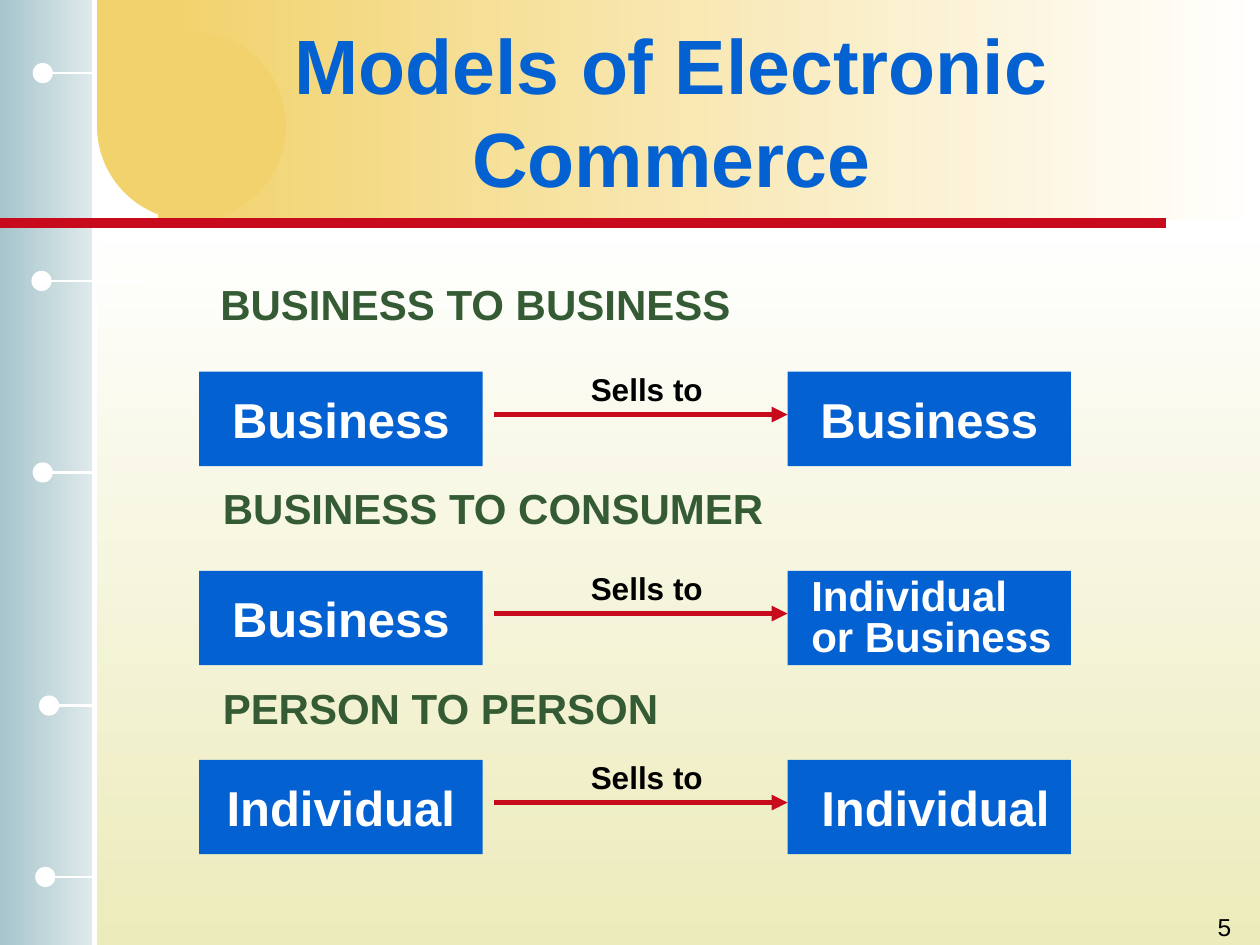
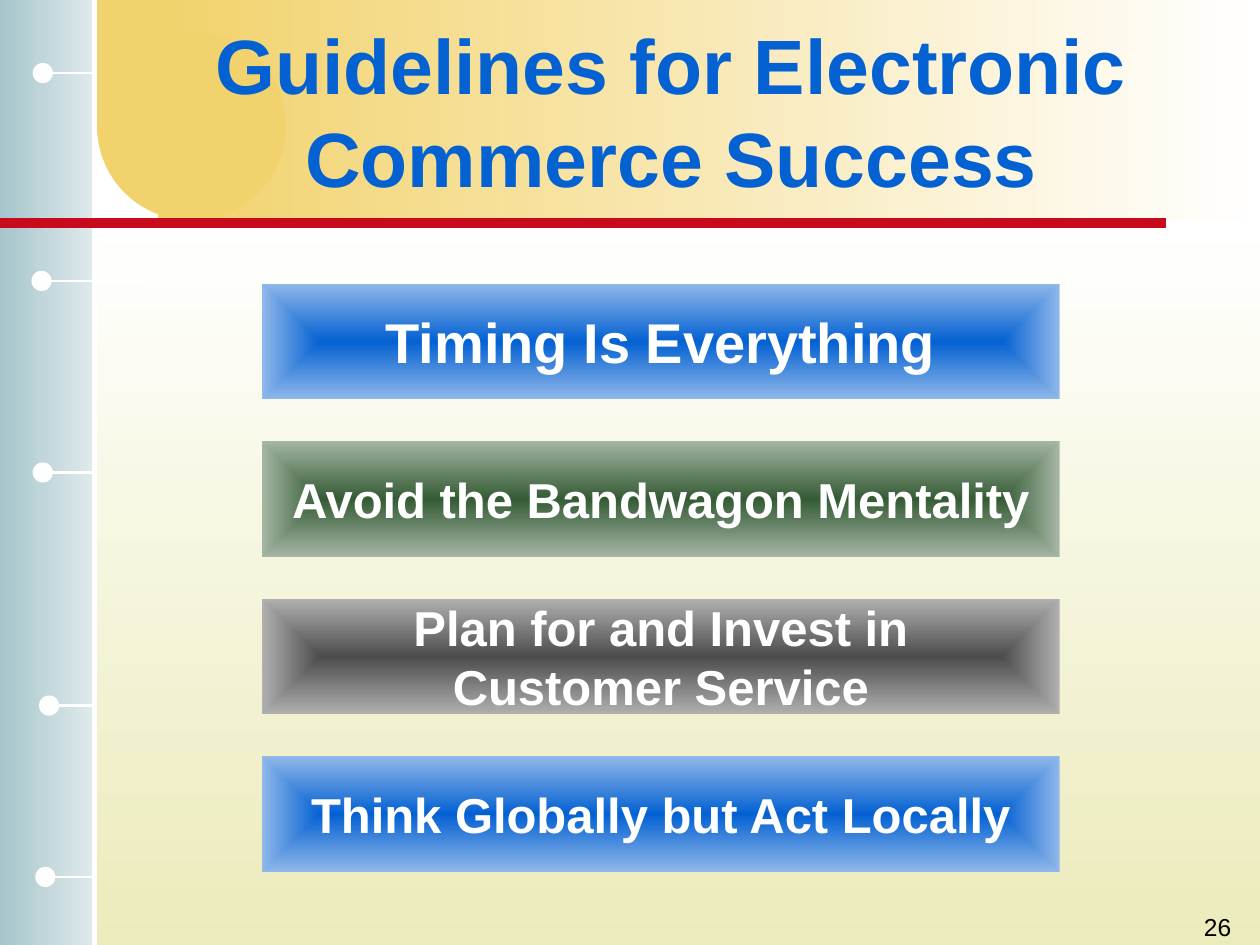
from dataclasses import dataclass

from lxml import etree
from pptx import Presentation
from pptx.dml.color import RGBColor
from pptx.enum.shapes import MSO_CONNECTOR, MSO_SHAPE
from pptx.enum.text import MSO_ANCHOR, PP_ALIGN
from pptx.oxml.ns import qn
from pptx.util import Inches, Pt

RECT, OVAL = MSO_SHAPE.RECTANGLE, MSO_SHAPE.OVAL
STRAIGHT = MSO_CONNECTOR.STRAIGHT
TOP, MIDDLE = MSO_ANCHOR.TOP, MSO_ANCHOR.MIDDLE
LEFT, CENTER, RIGHT = PP_ALIGN.LEFT, PP_ALIGN.CENTER, PP_ALIGN.RIGHT


@dataclass(frozen=True)
class Theme:
    font: str = "Arial"
    white: str = "FFFFFF"
    black: str = "000000"
    blue: str = "0461D2"
    pale_blue: str = "90B8EA"
    green: str = "355B35"
    pale_green: str = "A5B6A5"
    gray: str = "4D4D4D"
    pale_gray: str = "B0B0B0"
    red: str = "C70B1D"
    gold: str = "F2D26C"
    cream: str = "ECEBBB"
    teal: str = "A6C5CC"
    pale_teal: str = "E0EAEC"
    title_size: int = 44
    lead_size: int = 32
    box_size: int = 28
    heading_size: int = 24
    label_size: int = 18
    number_size: int = 14


THEME = Theme()

# Content
MODELS = {
    "title": "Models of Electronic Commerce",
    "number": "5",
    "link": "Sells to",
}
# heading, heading left, top and width, row top, seller, buyer lines
MODEL_ROWS = [
    ("BUSINESS TO BUSINESS", 1.65, 2.16, 4.25, 2.95, "Business", ["Business"]),
    ("BUSINESS TO CONSUMER", 1.67, 3.78, 4.49, 4.53, "Business",
     ["Individual", "or Business"]),
    ("PERSON TO PERSON", 1.67, 5.37, 3.66, 6.03, "Individual", ["Individual"]),
]
# Buyer texts that sit off the centre of their box: left, drop, width, height, style
BUYER_OFFSETS = {
    "BUSINESS TO CONSUMER": (6.34, 0.02, 2.11, 0.75, "buyer_pair"),
    "PERSON TO PERSON": (6.42, 0.09, 2.01, 0.56, "buyer"),
}
GUIDELINES = {
    "title": "Guidelines for Electronic Commerce Success",
    "number": "26",
}
GUIDELINE_BARS = [
    (["Timing Is Everything"], "lead", THEME.blue, THEME.pale_blue),
    (["Avoid the Bandwagon Mentality"], "box", THEME.green, THEME.pale_green),
    (["Plan for and Invest in", "Customer Service"], "box", THEME.gray, THEME.pale_gray),
    (["Think Globally but Act Locally"], "box", THEME.blue, THEME.pale_blue),
]

# Binder rings: dot left, centre height, right end of the ring
RINGS = [(0.26, 0.58, 0.75), (0.25, 2.23, 1.17), (0.26, 3.75, 0.75),
         (0.31, 5.6, 0.75), (0.28, 6.96, 0.75)]
DOT = 0.16

# Layout of the content
SELLER_LEFT, BUYER_LEFT, BOX_WIDTH, BOX_HEIGHT = 1.58, 6.25, 2.25, 0.75
ARROW_START, ARROW_DROP = 3.92, 0.34
BAR_LEFT, BAR_TOP, BAR_WIDTH, BAR_HEIGHT, BAR_STEP = 2.08, 2.25, 6.33, 0.92, 1.25


def text_style(size, color, align=LEFT, anchor=TOP, wrap=False, bold=True, spacing=None):
    return {
        "frame": {"word_wrap": wrap, "vertical_anchor": anchor},
        "paragraph": {"alignment": align, "line_spacing": spacing},
        "font": {"name": THEME.font, "size": Pt(size), "bold": bold},
        "color": color,
    }


STYLES = {
    "title": text_style(THEME.title_size, THEME.blue, CENTER, MIDDLE, wrap=True),
    "lead": text_style(THEME.lead_size, THEME.white, CENTER, MIDDLE),
    "box": text_style(THEME.box_size, THEME.white, CENTER, MIDDLE),
    "buyer": text_style(THEME.box_size, THEME.white),
    "buyer_pair": text_style(THEME.heading_size, THEME.white, spacing=0.8),
    "heading": text_style(THEME.heading_size, THEME.green),
    "label": text_style(THEME.label_size, THEME.black),
    "number": text_style(THEME.number_size, THEME.black, RIGHT, wrap=True, bold=False),
}


def set_all(target, values):
    for name, value in values.items():
        setattr(target, name, value)


def write(shape, lines, style_name):
    style = STYLES[style_name]
    frame = shape.text_frame
    set_all(frame, style["frame"])
    for index, line in enumerate(lines):
        paragraph = frame.add_paragraph() if index else frame.paragraphs[0]
        set_all(paragraph, style["paragraph"])
        run = paragraph.add_run()
        run.text = line
        set_all(run.font, style["font"])
        run.font.color.rgb = RGBColor.from_string(style["color"])


def add_text(slide, box, lines, style_name):
    write(slide.shapes.add_textbox(*map(Inches, box)), lines, style_name)


def add_block(slide, kind, box, color):
    block = slide.shapes.add_shape(kind, *map(Inches, box))
    block.shadow.inherit = False
    block.line.fill.background()
    block.fill.solid()
    block.fill.fore_color.rgb = RGBColor.from_string(color)
    return block


def add_gradient(slide, box, first, last, angle=None):
    """Add a rectangle with a linear gradient, or one from its centre if no angle is given."""
    block = add_block(slide, RECT, box, first)
    block.fill.gradient()
    for stop, color in zip(block.fill.gradient_stops, (first, last)):
        stop.color.rgb = RGBColor.from_string(color)
    if angle is not None:
        block.fill.gradient_angle = angle
        return block
    linear = next(block.element.iter(qn("a:lin")))
    gradient = linear.getparent()
    gradient.remove(linear)
    from_centre = etree.SubElement(gradient, qn("a:path"), {"path": "rect"})
    etree.SubElement(from_centre, qn("a:fillToRect"),
                     dict.fromkeys("ltrb", "50000"))
    return block


def add_line(slide, start, end, color, width, arrow=False):
    line = slide.shapes.add_connector(STRAIGHT, *map(Inches, (*start, *end)))
    line.line.color.rgb = RGBColor.from_string(color)
    line.line.width = Pt(width)
    if arrow:
        etree.SubElement(line.line._get_or_add_ln(), qn("a:tailEnd"), {"type": "triangle"})
    etree.SubElement(line.element.spPr, qn("a:effectLst"))


def add_framed_slide(deck, content):
    """Add a slide with the binder strip, gold band, title and number."""
    slide = deck.slides.add_slide(deck.slide_layouts[6])
    add_gradient(slide, (0.73, 1.77, 9.27, 5.73), THEME.white, THEME.cream, 270)
    add_gradient(slide, (0, 0, 0.75, 7.5), THEME.pale_teal, THEME.teal, 180)
    add_gradient(slide, (1.25, 0, 8.75, 1.75), THEME.white, THEME.gold, 180)
    add_block(slide, OVAL, (0.77, 0.25, 1.5, 1.5), THEME.gold)
    add_block(slide, RECT, (0.77, 0, 0.67, 0.96), THEME.gold)
    add_line(slide, (0.75, 0), (0.75, 7.5), THEME.white, 3)
    for left, middle, right in RINGS:
        add_line(slide, (right, middle), (left + DOT / 2, middle), THEME.white, 1.5)
        add_block(slide, OVAL, (left, middle - DOT / 2, DOT, DOT), THEME.white)
    add_line(slide, (0, 1.77), (9.25, 1.77), THEME.red, 6)
    add_text(slide, (1.08, 0.25, 8.5, 1.25), [content["title"]], "title")
    add_text(slide, (7.79, 7.19, 2.08, 0.5), [content["number"]], "number")
    return slide


def add_models_slide(deck):
    slide = add_framed_slide(deck, MODELS)
    for heading, left, heading_top, width, top, seller, buyer in MODEL_ROWS:
        add_text(slide, (left, heading_top, width, 0.5), [heading], "heading")
        seller_box, buyer_box = (
            add_block(slide, RECT, (x, top, BOX_WIDTH, BOX_HEIGHT), THEME.blue)
            for x in (SELLER_LEFT, BUYER_LEFT))
        write(seller_box, [seller], "box")
        if heading in BUYER_OFFSETS:
            x, drop, text_width, height, style_name = BUYER_OFFSETS[heading]
            add_text(slide, (x, top + drop, text_width, height), buyer, style_name)
        else:
            write(buyer_box, buyer, "box")
        arrow_y = top + ARROW_DROP
        add_line(slide, (ARROW_START, arrow_y), (BUYER_LEFT, arrow_y), THEME.red, 3, arrow=True)
        add_text(slide, (4.59, top - 0.06, 1.09, 0.4), [MODELS["link"]], "label")


def add_guidelines_slide(deck):
    slide = add_framed_slide(deck, GUIDELINES)
    for index, (lines, style_name, inner, outer) in enumerate(GUIDELINE_BARS):
        box = (BAR_LEFT, BAR_TOP + index * BAR_STEP, BAR_WIDTH, BAR_HEIGHT)
        write(add_gradient(slide, box, inner, outer), lines, style_name)


def main():
    deck = Presentation()
    deck.slide_width, deck.slide_height = Inches(10), Inches(7.5)
    add_models_slide(deck)
    add_guidelines_slide(deck)
    deck.save("out.pptx")


if __name__ == "__main__":
    main()
